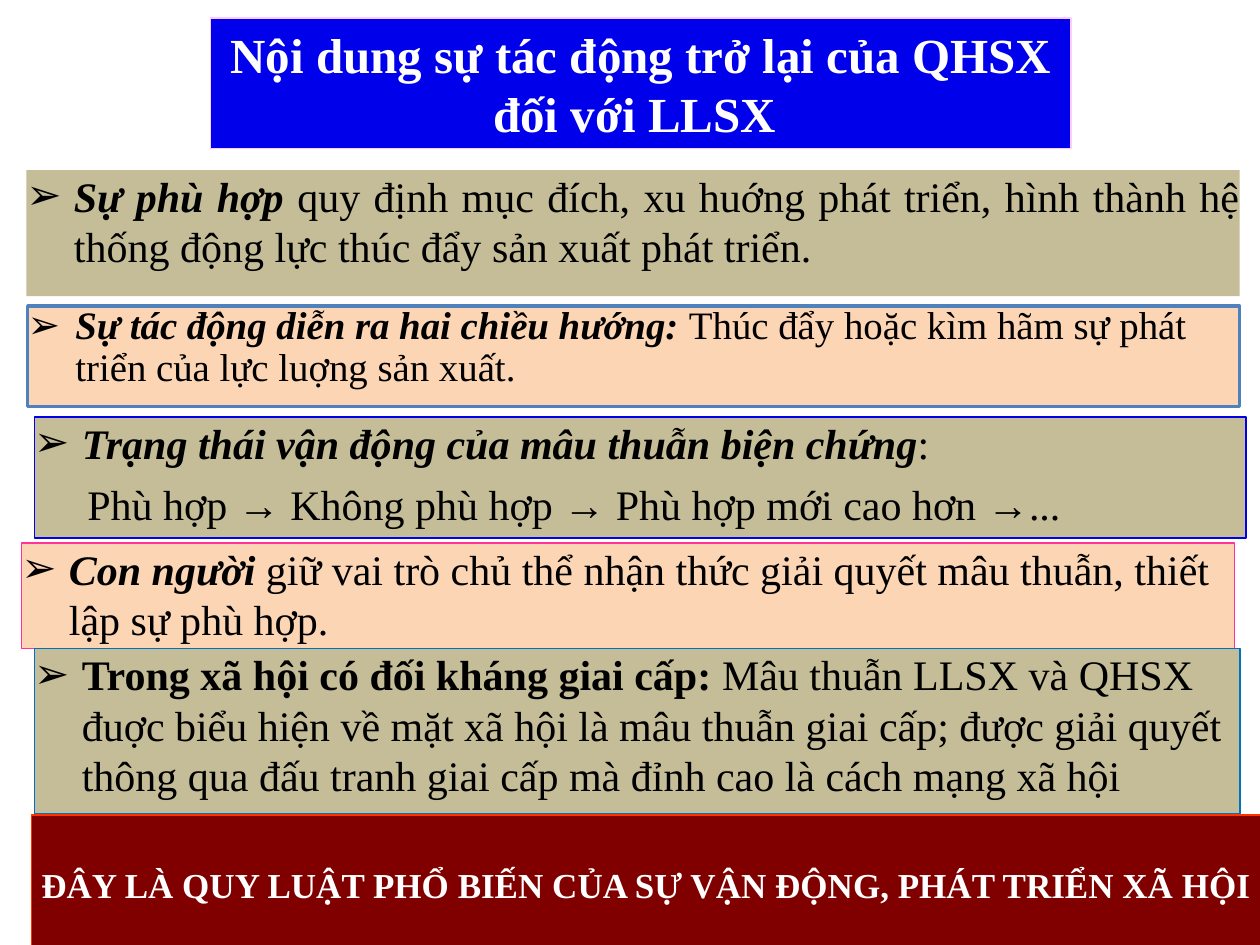
from lxml.etree import SubElement
from pptx import Presentation
from pptx.dml.color import RGBColor
from pptx.enum.shapes import MSO_SHAPE
from pptx.enum.text import MSO_ANCHOR, MSO_AUTO_SIZE, PP_ALIGN
from pptx.oxml.ns import qn
from pptx.util import Cm, Pt

# Content
TITLE = "Nội dung sự tác động trở lại của QHSX đối với LLSX "
CONCLUSION = "ĐÂY LÀ QUY LUẬT PHỔ BIẾN CỦA SỰ VẬN ĐỘNG, PHÁT TRIỂN XÃ HỘI"
STATES = ["Phù hợp ", " Không phù hợp ", " Phù hợp mới cao hơn ", "..."]
KHAKI, PEACH = "C4BD97", "FCD5B5"

# Each point: position (cm), fill, line, line width, lead, rest, text options
POINTS = [
    ((0.53, 3.43, 24.46, 2.54), KHAKI, None, 0, "Sự phù hợp",
     " quy định mục đích, xu huớng phát triển, hình thành hệ thống động lực "
     "thúc đẩy sản xuất phát triển.", {"align": PP_ALIGN.JUSTIFY}),
    ((0.56, 6.17, 24.43, 2.03), PEACH, "4F81BD", 2,
     "Sự tác động diễn ra hai chiều hướng: ",
     "Thúc đẩy hoặc kìm hãm sự phát triển của lực luợng sản xuất.",
     {"size": 22.2, "spacing": 0.9}),
    ((0.69, 8.41, 24.43, 2.44), KHAKI, "0000EA", 0.75,
     "Trạng thái vận động của mâu thuẫn biện chứng", ":", {}),
    ((0.43, 10.95, 24.46, 2.13), PEACH, "FF3399", 0.75, "Con người",
     " giữ vai trò chủ thể nhận thức giải quyết mâu thuẫn, thiết lập sự phù hợp.", {}),
    ((0.69, 13.08, 24.31, 3.33), KHAKI, "0070C0", 0.75,
     "Trong xã hội có đối kháng giai cấp: ",
     "Mâu thuẫn LLSX và QHSX đuợc biểu hiện về mặt xã hội là mâu thuẫn giai cấp; "
     "được giải quyết thông qua đấu tranh giai cấp mà đỉnh cao là cách mạng xã hội",
     {"italic": False}),
]
STATES_POINT = 2


def color(value):
    return RGBColor.from_string(value)


def style_box(sp, at, fill, line=None, width=0.75, margins=(0, 0), anchor=MSO_ANCHOR.TOP):
    """Place and paint a shape, and return its text frame."""
    sp.left, sp.top, sp.width, sp.height = map(Cm, at)
    sp.fill.solid()
    sp.fill.fore_color.rgb = color(fill)
    if line:
        sp.line.color.rgb = color(line)
        sp.line.width = Pt(width)
    else:
        sp.line.fill.background()
    tf = sp.text_frame
    tf.word_wrap = True
    tf.auto_size = MSO_AUTO_SIZE.NONE
    tf.vertical_anchor = anchor
    tf.margin_left = tf.margin_right = Cm(margins[0])
    tf.margin_top = tf.margin_bottom = Cm(margins[1])
    return tf


def add_run(p, text, size=24, font="Times New Roman", rgb="000000", bold=False, italic=False):
    r = p.add_run()
    r.text = text
    r.font.size, r.font.name = Pt(size), font
    r.font.bold, r.font.italic = bold, italic
    r.font.color.rgb = color(rgb)


def format_paragraph(p, align=PP_ALIGN.LEFT, spacing=1.0, left=0, hanging=0, bullet=None):
    p.alignment, p.line_spacing, p.space_before = align, spacing, Pt(6)
    pPr = p._p.get_or_add_pPr()
    pPr.set("marL", str(Cm(left)))
    pPr.set("indent", str(-Cm(hanging)))
    if bullet:
        SubElement(pPr, qn("a:buFont"), typeface="Arial")
        SubElement(pPr, qn("a:buChar"), char=bullet)
    else:
        SubElement(pPr, qn("a:buNone"))


def add_rectangle(s):
    sp = s.shapes.add_shape(MSO_SHAPE.RECTANGLE, 0, 0, 0, 0)
    sp.shadow.inherit = False
    return sp


def main():
    prs = Presentation()
    prs.slide_width, prs.slide_height = Cm(25.4), Cm(19.05)
    s = prs.slides.add_slide(prs.slide_layouts[1])

    # Title
    tf = style_box(s.shapes.title, (4.24, 0.36, 17.35, 2.64), "0000EA", "FFCCFF",
                   margins=(0.25, 0.13))
    p = tf.paragraphs[0]
    format_paragraph(p, align=PP_ALIGN.CENTER)
    add_run(p, TITLE, size=28, rgb="FFFFFF", bold=True)

    # Points: the first fills the body placeholder
    for i, (at, fill, line, width, lead, rest, opts) in enumerate(POINTS):
        sp = s.placeholders[1] if i == 0 else add_rectangle(s)
        tf = style_box(sp, at, fill, line, width)
        p = tf.paragraphs[0]
        format_paragraph(p, opts.get("align", PP_ALIGN.LEFT), opts.get("spacing", 1.0),
                         left=0.96, hanging=0.96, bullet="➢")
        size = opts.get("size", 24)
        add_run(p, lead, size=size, bold=True, italic=opts.get("italic", True))
        add_run(p, rest, size=size)

        # Chain of states joined by arrows
        if i == STATES_POINT:
            p = tf.add_paragraph()
            format_paragraph(p, left=1.07)
            for k, state in enumerate(STATES):
                if k:
                    add_run(p, "→", font="Arial")
                add_run(p, state)

    # Conclusion bar
    tf = style_box(add_rectangle(s), (0.64, 16.43, 24.77, 2.82), "800000", "FF3300",
                   anchor=MSO_ANCHOR.MIDDLE)
    p = tf.paragraphs[0]
    format_paragraph(p, align=PP_ALIGN.CENTER)
    add_run(p, CONCLUSION, size=20, rgb="FFFFFF", bold=True)

    prs.save("out.pptx")


if __name__ == "__main__":
    main()
